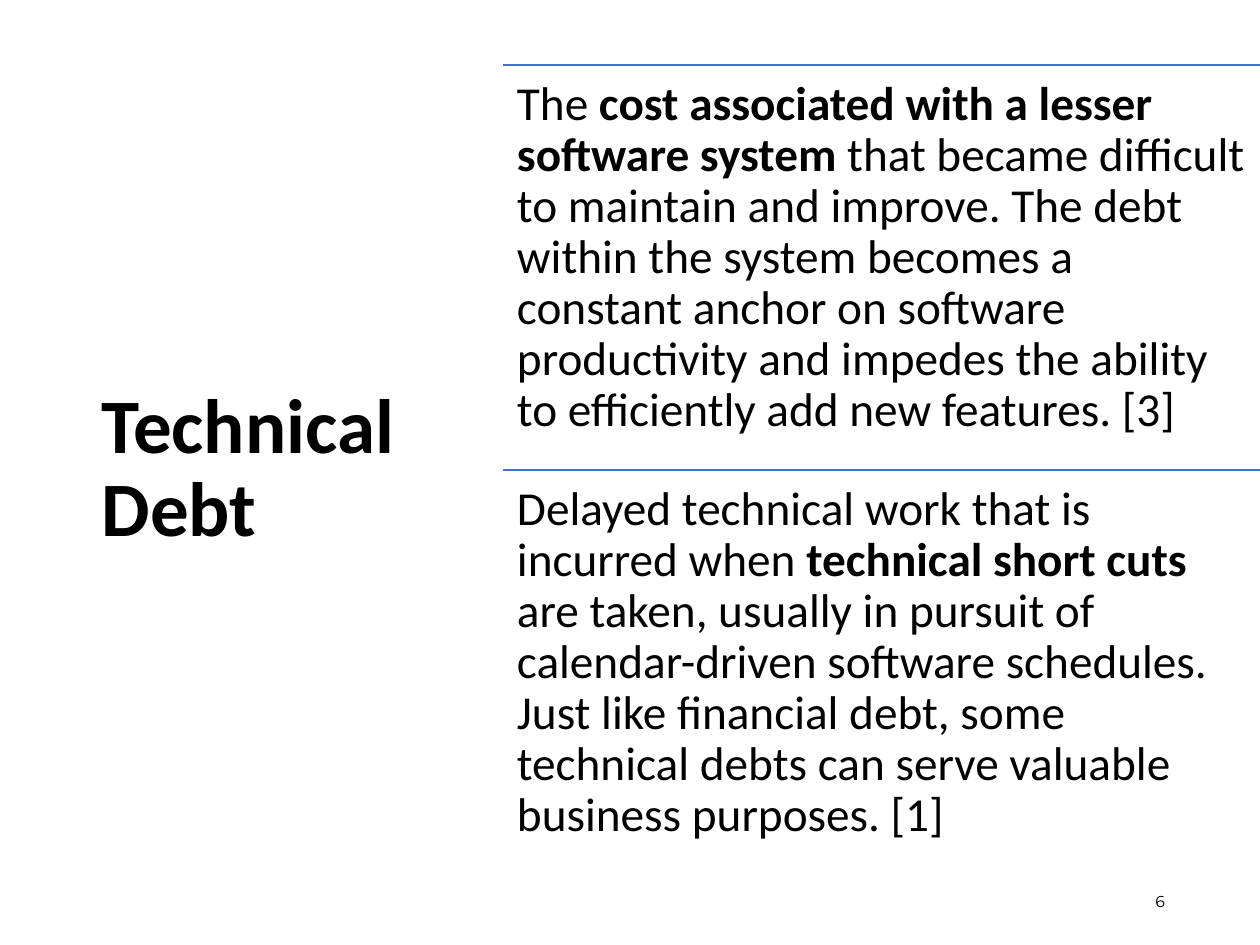
"""Build the Technical Debt slide: a title beside two ruled definitions."""
from dataclasses import dataclass

from lxml import etree
from pptx import Presentation
from pptx.dml.color import RGBColor
from pptx.enum.shapes import MSO_CONNECTOR
from pptx.enum.text import MSO_ANCHOR, PP_ALIGN
from pptx.oxml.ns import qn
from pptx.util import Pt

STRAIGHT = MSO_CONNECTOR.STRAIGHT
TOP, MIDDLE = MSO_ANCHOR.TOP, MSO_ANCHOR.MIDDLE
LEFT, CENTER = PP_ALIGN.LEFT, PP_ALIGN.CENTER


@dataclass(frozen=True)
class Theme:
    text: RGBColor = RGBColor(0x00, 0x00, 0x00)
    rule: RGBColor = RGBColor(0x44, 0x72, 0xC4)
    font: str = "Calibri"
    number_font: str = "Montserrat"
    title: float = 44
    body: float = 27
    number: float = 9


@dataclass(frozen=True)
class Box:
    left: float
    top: float
    width: float
    height: float


@dataclass(frozen=True)
class Run:
    text: str
    bold: bool = False


THEME = Theme()
PANEL = Box(287.3, 37.2, 432.7, 231.6)
DEFINITIONS = [
    [
        Run("The "),
        Run("cost associated with a lesser software system ", bold=True),
        Run("that became difficult to maintain and improve. The debt within the "
            "system becomes a constant anchor on software productivity and impedes "
            "the ability to efficiently add new features. [3]"),
    ],
    [
        Run("Delayed technical work that is incurred when "),
        Run("technical short cuts ", bold=True),
        Run("are taken, usually in pursuit of calendar-driven software schedules. "
            "Just like financial debt, some technical debts can serve valuable "
            "business purposes. [1]"),
    ],
]


def add_text(s, box: Box, runs: list[Run], *, size: float, font: str = THEME.font,
             anchor=TOP, align=LEFT, spacing: float = 1.0, after: float = 6,
             inset_x: float = 7.2, inset_y: float = 3.6) -> None:
    shape = s.shapes.add_textbox(Pt(box.left), Pt(box.top), Pt(box.width), Pt(box.height))
    tf = shape.text_frame
    tf.word_wrap = True
    tf.vertical_anchor = anchor
    tf.margin_left = tf.margin_right = Pt(inset_x)
    tf.margin_top = tf.margin_bottom = Pt(inset_y)
    p = tf.paragraphs[0]
    p.alignment, p.line_spacing, p.space_after = align, spacing, Pt(after)
    for run in runs:
        r = p.add_run()
        r.text = run.text
        r.font.name, r.font.size, r.font.bold = font, Pt(size), run.bold
        r.font.color.rgb = THEME.text


def add_rule(s, left: float, top: float, width: float) -> None:
    line = s.shapes.add_connector(STRAIGHT, Pt(left), Pt(top), Pt(left + width), Pt(top))
    line.line.color.rgb = THEME.rule
    line.line.width = Pt(1)
    etree.SubElement(line._element.spPr, qn("a:effectLst"))


def add_definition(s, box: Box, runs: list[Run]) -> None:
    add_rule(s, box.left, box.top, box.width)
    add_text(s, box, runs, size=THEME.body, spacing=0.9, after=0.35 * THEME.body,
             inset_x=8.1, inset_y=8.1)


def main() -> None:
    prs = Presentation()
    prs.slide_width, prs.slide_height = Pt(720), Pt(540)
    s = prs.slides.add_slide(prs.slide_layouts[6])
    add_text(s, Box(51, 80, 201.6, 377.3), [Run("Technical Debt", bold=True)],
             size=THEME.title, anchor=MIDDLE, spacing=0.9)
    add_text(s, Box(633, 500.4, 59.8, 28.8), [Run("6")], size=THEME.number,
             font=THEME.number_font, anchor=MIDDLE, align=CENTER)
    for i, runs in enumerate(DEFINITIONS):
        top = PANEL.top + i * PANEL.height
        add_definition(s, Box(PANEL.left, top, PANEL.width, PANEL.height), runs)
    prs.save("out.pptx")


if __name__ == "__main__":
    main()
